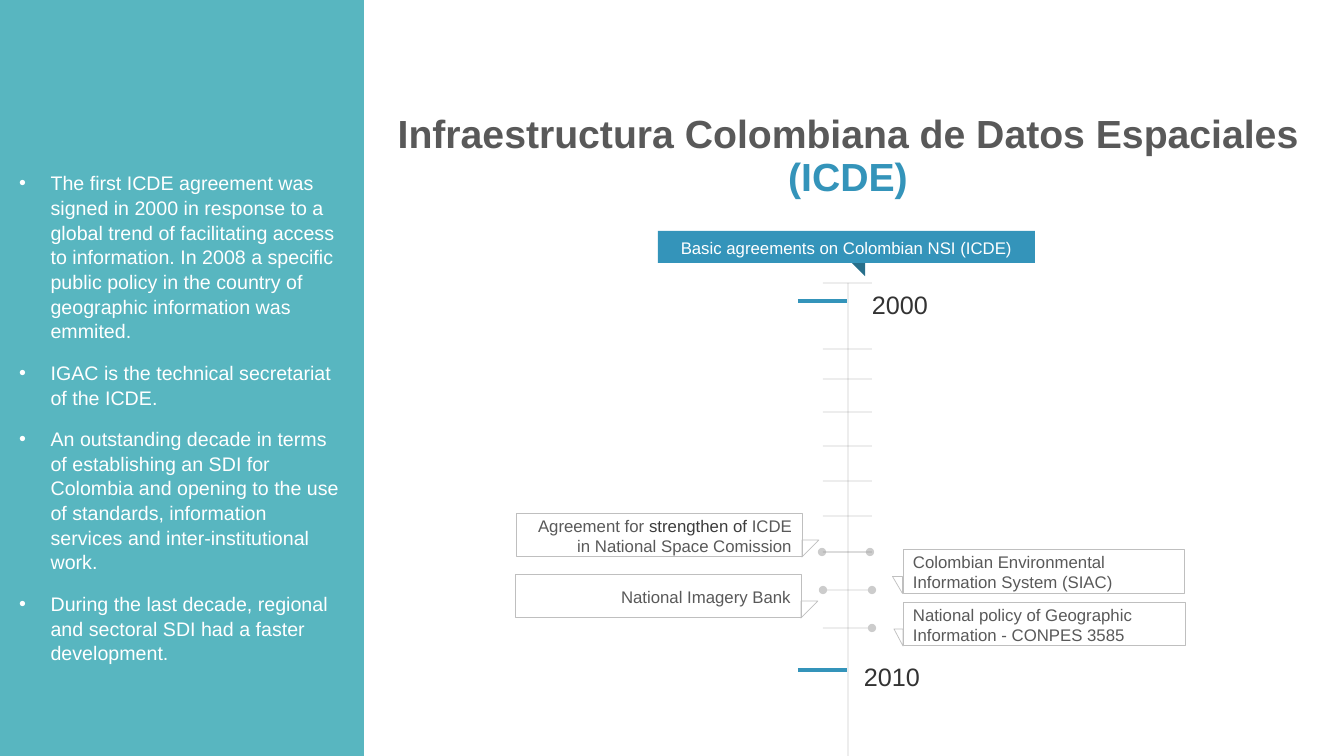
from lxml import etree
from pptx import Presentation
from pptx import util as u
from pptx.dml.color import RGBColor
from pptx.enum import shapes, text
from pptx.oxml import ns

PX = 9144000 / 1008  # 100.8 px to the inch
COLORS = {k: RGBColor.from_string(v) for k, v in {
    "teal": "58B6C0", "blue": "3494BA", "navy": "276F8B", "white": "FFFFFF",
    "gray": "595959", "dark": "3C3C3C", "year": "333333", "edge": "BFBFBF",
    "black": "000000"}.items()}
SHAPE = shapes.MSO_SHAPE
ALIGN = text.PP_ALIGN
TOP, MIDDLE = text.MSO_ANCHOR.TOP, text.MSO_ANCHOR.MIDDLE
FIT, FIXED = text.MSO_AUTO_SIZE.SHAPE_TO_FIT_TEXT, text.MSO_AUTO_SIZE.NONE


def px(*lengths):
    return [u.Emu(round(n * PX)) for n in lengths]


def write(p, runs, size, align=ALIGN.LEFT, bold=False):
    """Fill a paragraph with (text, colour name) runs."""
    p.alignment = align
    for words, color in runs:
        r = p.add_run()
        r.text = words
        for name, value in {"name": "Arial", "size": u.Pt(size), "bold": bold}.items():
            setattr(r.font, name, value)
        r.font.color.rgb = COLORS[color]


prs = Presentation()
prs.slide_width, prs.slide_height = px(1344, 756)
s = prs.slides.add_slide(prs.slide_layouts[1])
title, body = s.placeholders

# Title and list
for sp, box, fit in ((title, (381, 110, 934, 82), FIXED), (body, (9, 165, 345, 483), FIT)):
    sp.left, sp.top, sp.width, sp.height = px(*box)
    tf = sp.text_frame
    tf.word_wrap, tf.auto_size, tf.vertical_anchor = True, fit, TOP
p = title.text_frame.paragraphs[0]
p.line_spacing = 0.9
write(p, [("Infraestructura Colombiana de Datos Espaciales", "gray")], 28, ALIGN.CENTER, True)
p.add_line_break()
write(p, [("(ICDE)", "blue")], 28, ALIGN.CENTER, True)

points = [
    "The first ICDE agreement was signed in 2000 in response to a global trend of "
    "facilitating access to information. In 2008 a specific public policy in the country "
    "of geographic information was emmited.",
    "IGAC is the technical secretariat of the ICDE.",
    "An outstanding decade in terms of establishing an SDI for Colombia and opening to the "
    "use of standards, information services and inter-institutional work.",
    "During the last decade, regional and sectoral SDI had a faster development.",
]
tf = body.text_frame
for i, point in enumerate(points):
    p = tf.add_paragraph() if i else tf.paragraphs[0]
    pPr = p._p.get_or_add_pPr()
    pPr.set("marL", "285750")
    pPr.set("indent", "-285750")
    etree.SubElement(pPr, ns.qn("a:buFont")).set("typeface", "Arial")
    etree.SubElement(pPr, ns.qn("a:buChar")).set("char", "•")
    for name, value in {"line_spacing": 1.05, "space_before": u.Pt(0),
                        "space_after": u.Pt(12)}.items():
        setattr(p, name, value)
    write(p, [(point, "white")], 14)

# Side panel, banner and its fold
for kind, box, color, turn in (
        (SHAPE.RECTANGLE, (0, 0, 364, 756), "teal", 0),
        (SHAPE.RIGHT_TRIANGLE, (848, 259, 17, 17), "navy", 180),
        (SHAPE.RECTANGLE, (658, 231, 377, 32), "blue", 0)):
    sp = s.shapes.add_shape(kind, *px(*box))
    sp.shadow.inherit = False
    sp.rotation = turn
    sp.fill.solid()
    sp.fill.fore_color.rgb = COLORS[color]
    sp.line.fill.background()
    if color == "teal":
        title._element.addprevious(sp._element)
banner = sp.text_frame
banner.word_wrap, banner.vertical_anchor = True, MIDDLE
banner.margin_left, banner.margin_top, banner.margin_right, banner.margin_bottom = px(0, 7, 0, 5)
write(banner.paragraphs[0], [("Basic agreements on Colombian NSI (ICDE)", "white")],
      12, ALIGN.CENTER)

# Timeline: x1, y1, x2, y2, colour, oval ends
ticks = [(823, y, 872, y, "black", ()) for y in (283, 349, 379, 412, 446, 481, 516, 552)]
lines = [(848, 283, 848, 756, "black", ()), *ticks,
         (822, 552, 870, 552, "black", ("headEnd", "tailEnd")),
         (823, 590, 872, 590, "black", ("headEnd", "tailEnd")),
         (823, 628, 872, 628, "black", ("tailEnd",)),
         (798, 301, 847, 301, "blue", ()), (798, 670, 847, 670, "blue", ())]
for x1, y1, x2, y2, color, ends in lines:
    cx = s.shapes.add_connector(shapes.MSO_CONNECTOR.STRAIGHT, *px(x1, y1, x2, y2))
    cx.line.color.rgb = COLORS[color]
    cx.line.width = u.Pt(0.5 if color == "black" else 2.5)
    spPr = cx._element.spPr
    if color == "black":
        etree.SubElement(spPr.find(".//" + ns.qn("a:srgbClr")), ns.qn("a:alpha")).set("val", "20000")
    for end in ends:
        etree.SubElement(spPr.find(ns.qn("a:ln")), ns.qn("a:" + end)).set("type", "oval")
    etree.SubElement(spPr, ns.qn("a:effectLst"))

for year, x, y in (("2000", 872, 278), ("2010", 864, 650)):
    tf = s.shapes.add_textbox(*px(x, y, 100, 43)).text_frame
    tf.word_wrap, tf.auto_size = True, FIT
    tf.margin_left = tf.margin_right = 0
    tf.paragraphs[0].line_spacing = 1.2
    write(tf.paragraphs[0], [(year, "year")], 18)

# Callouts: box, pointer, runs; those left of the axis point right
callouts = [
    ((903, 602, 282, 43), (890, 633, 17, 9),
     [("National policy of Geographic Information - CONPES 3585", "gray")]),
    ((515, 574, 286, 43), (801, 601, 17, 17), [("National Imagery Bank", "gray")]),
    ((903, 549, 281, 44), (889, 580, 17, 10),
     [("Colombian Environmental Information System (SIAC)", "gray")]),
    ((516, 513, 286, 43), (802, 540, 17, 17),
     [("Agreement for ", "gray"), ("strengthen of ", "dark"),
      ("ICDE in National Space Comission", "gray")]),
]
for box, pointer, runs in callouts:
    on_left = box[0] < 848
    group = s.shapes.add_group_shape()
    label = group.shapes.add_shape(SHAPE.RECTANGLE, *px(*box))
    tip = group.shapes.add_shape(SHAPE.RIGHT_TRIANGLE, *px(*pointer))
    for sp in (label, tip):
        sp.shadow.inherit = False
        sp.fill.background()
        sp.line.color.rgb = COLORS["edge"]
        sp.line.width = u.Pt(0.5)
    tip.rotation = 270 if on_left else 90
    xfrm = tip._element.spPr.find(ns.qn("a:xfrm"))
    xfrm.set("flipV", "1")
    if on_left:
        xfrm.set("flipH", "1")
    tf = label.text_frame
    tf.word_wrap, tf.vertical_anchor = True, MIDDLE
    tf.margin_left, tf.margin_top, tf.margin_right, tf.margin_bottom = px(10, 7, 10, 5)
    write(tf.paragraphs[0], runs, 12, ALIGN.RIGHT if on_left else ALIGN.LEFT)

prs.save("out.pptx")
